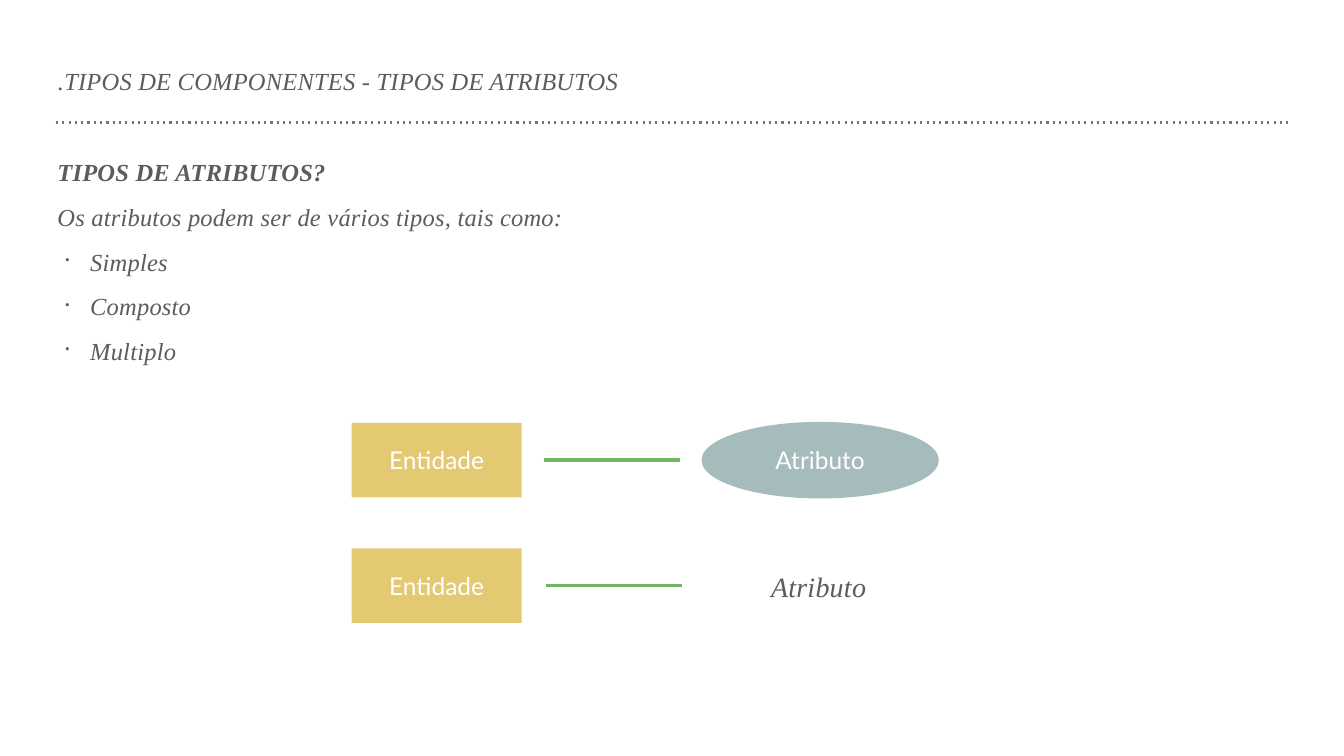
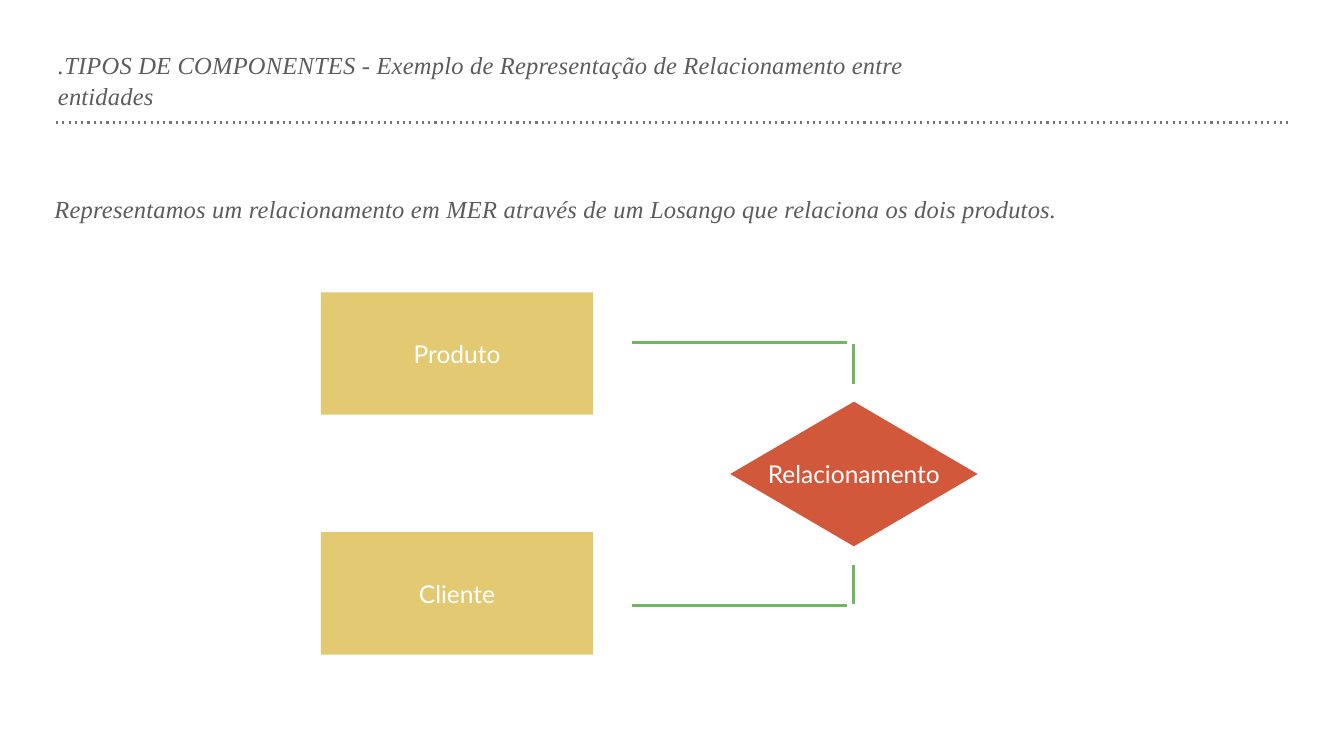
from lxml.etree import SubElement
from pptx import Presentation
from pptx.dml.color import RGBColor
from pptx.enum.shapes import MSO_CONNECTOR, MSO_SHAPE as Shape
from pptx.enum.text import MSO_ANCHOR, PP_ALIGN as Align
from pptx.oxml.ns import qn
from pptx.util import Inches, Pt

SERIF, SANS = "Times New Roman", "Lato"
GREY, RULE, WHITE = "5C5C5C", "747676", "FFFFFF"
ENTITY, ATTRIBUTE, RELATION, LINK = "E4C973", "A6BBBB", "D2583C", "70B762"
INSET = 0.06

# Texts: (content, bold, bullet)
ATTRIBUTE_TYPES = [
    ("TIPOS DE ATRIBUTOS?", True, False),
    ("Os atributos podem ser de vários tipos, tais como:", False, False),
    ("Simples", False, True),
    ("Composto", False, True),
    ("Multiplo", False, True),
]
RELATION_INTRO = [
    ("Representamos um relacionamento em MER através de um Losango "
     "que relaciona os dois produtos.", False, False),
]

# Slides: title, title width, body and its place, symbols, links
SLIDES = [
    dict(
        title=".TIPOS DE COMPONENTES - TIPOS DE ATRIBUTOS",
        title_width=11.35,
        body=ATTRIBUTE_TYPES,
        body_at=(1.08, 2.89, 23.01, 4.56),
        symbols=[
            (Shape.RECTANGLE, "Entidade", ENTITY, (6.98, 8.39, 3.37, 1.48)),
            (Shape.RECTANGLE, "Entidade", ENTITY, (6.98, 10.88, 3.37, 1.48)),
            (Shape.OVAL, "Atributo", ATTRIBUTE, (13.92, 8.37, 4.71, 1.52)),
        ],
        plain_label=("Atributo", (15.24, 11.19, 2.07, 0.86)),
        link_width=5,
        links=[(10.79, 9.13, 13.49, 9.13), (10.83, 11.62, 13.53, 11.62)],
    ),
    dict(
        title=".TIPOS DE COMPONENTES - Exemplo de Representação de "
              "Relacionamento entre entidades",
        title_width=18.4,
        body=RELATION_INTRO,
        body_at=(1.02, 3.74, 23.01, 0.78),
        symbols=[
            (Shape.RECTANGLE, "Produto", ENTITY, (6.37, 5.8, 5.4, 2.43)),
            (Shape.DIAMOND, "Relacionamento", RELATION, (14.49, 7.97, 4.91, 2.87)),
            (Shape.RECTANGLE, "Cliente", ENTITY, (6.37, 10.56, 5.4, 2.43)),
        ],
        plain_label=None,
        link_width=4,
        links=[
            (12.54, 6.8, 16.81, 6.8), (12.54, 12.02, 16.81, 12.02),
            (16.94, 6.83, 16.94, 7.61), (16.94, 11.21, 16.94, 11.99),
        ],
    ),
]


def color(value):
    return RGBColor.from_string(value)


def inches(values):
    return [Inches(value) for value in values]


def prepare_frame(box, wrap=True):
    frame = box.text_frame
    frame.word_wrap = wrap
    frame.vertical_anchor = MSO_ANCHOR.MIDDLE
    frame.margin_left = frame.margin_right = Inches(INSET)
    frame.margin_top = frame.margin_bottom = Inches(INSET)
    return frame


def add_span(para, text, font, size, shade, bold=False, italic=False):
    span = para.add_run()
    span.text = text
    span.font.name, span.font.size = font, Pt(size)
    span.font.bold, span.font.italic = bold, italic
    span.font.color.rgb = color(shade)
    return span


def add_bullet(para):
    para.level = 1
    props = para._p.get_or_add_pPr()
    props.set("marL", str(Inches(0.65)))
    props.set("indent", str(Inches(-0.49)))
    SubElement(props, qn("a:buSzPct"), val="50000")
    SubElement(props, qn("a:buChar"), char="•")


def add_text(page, place, lines, size=35, wrap=True):
    """Add grey italic serif paragraphs, slightly letter-spaced."""
    frame = prepare_frame(page.shapes.add_textbox(*inches(place)), wrap)
    for index, (text, bold, bullet) in enumerate(lines):
        para = frame.add_paragraph() if index else frame.paragraphs[0]
        if bullet:
            add_bullet(para)
        para.line_spacing = 1.05
        para.space_before = Pt(20 if index else 0)
        span = add_span(para, text, SERIF, size, GREY, bold, italic=True)
        span.font._element.set("spc", "40" if size == 40 else "30")


def add_symbol(page, kind, label, fill, place):
    symbol = page.shapes.add_shape(kind, *inches(place))
    symbol.shadow.inherit = False
    symbol.fill.solid()
    symbol.fill.fore_color.rgb = color(fill)
    symbol.line.fill.background()
    para = prepare_frame(symbol, wrap=kind != Shape.DIAMOND).paragraphs[0]
    para.alignment = Align.CENTER
    add_span(para, label, SANS, 35, WHITE)


def add_line(page, ends, shade, width):
    line = page.shapes.add_connector(MSO_CONNECTOR.STRAIGHT, *inches(ends))
    line.line.color.rgb = color(shade)
    line.line.width = Pt(width)
    SubElement(line._element.spPr, qn("a:effectLst"))
    return line


def add_header(page, title, width):
    rule = add_line(page, (1.11, 2.43, 25.56, 2.43), RULE, 3)
    dashes = SubElement(rule.line._get_or_add_ln(), qn("a:custDash"))
    SubElement(dashes, qn("a:ds"), d="100000", sp="200000")
    add_text(page, (1.09, 1.19, width, 0.78), [(title, False, False)])


def main():
    deck = Presentation()
    deck.slide_width, deck.slide_height = Inches(26.67), Inches(15)
    for content in SLIDES:
        page = deck.slides.add_slide(deck.slide_layouts[6])
        add_header(page, content["title"], content["title_width"])
        add_text(page, content["body_at"], content["body"])
        for symbol in content["symbols"]:
            add_symbol(page, *symbol)
        if content["plain_label"]:
            label, place = content["plain_label"]
            add_text(page, place, [(label, False, False)], size=40, wrap=False)
        for ends in content["links"]:
            add_line(page, ends, LINK, content["link_width"])
    deck.save("out.pptx")


if __name__ == "__main__":
    main()
